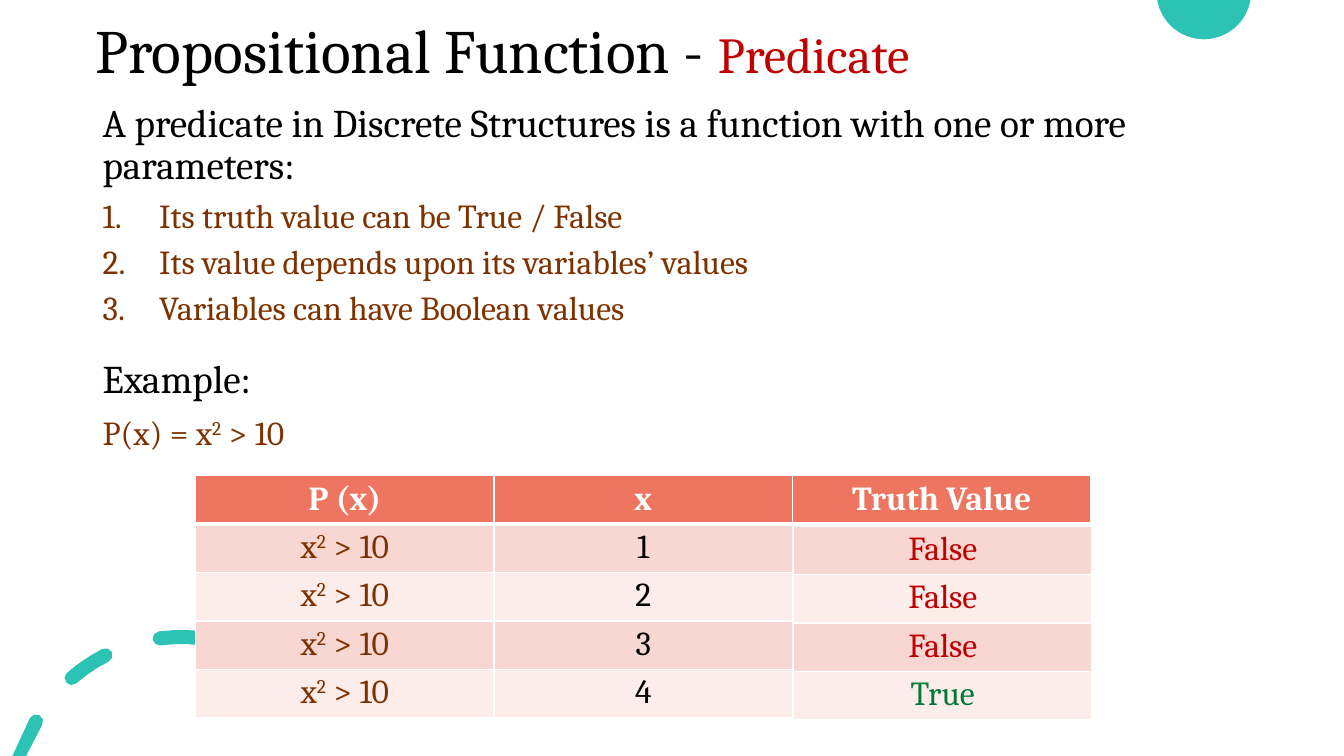
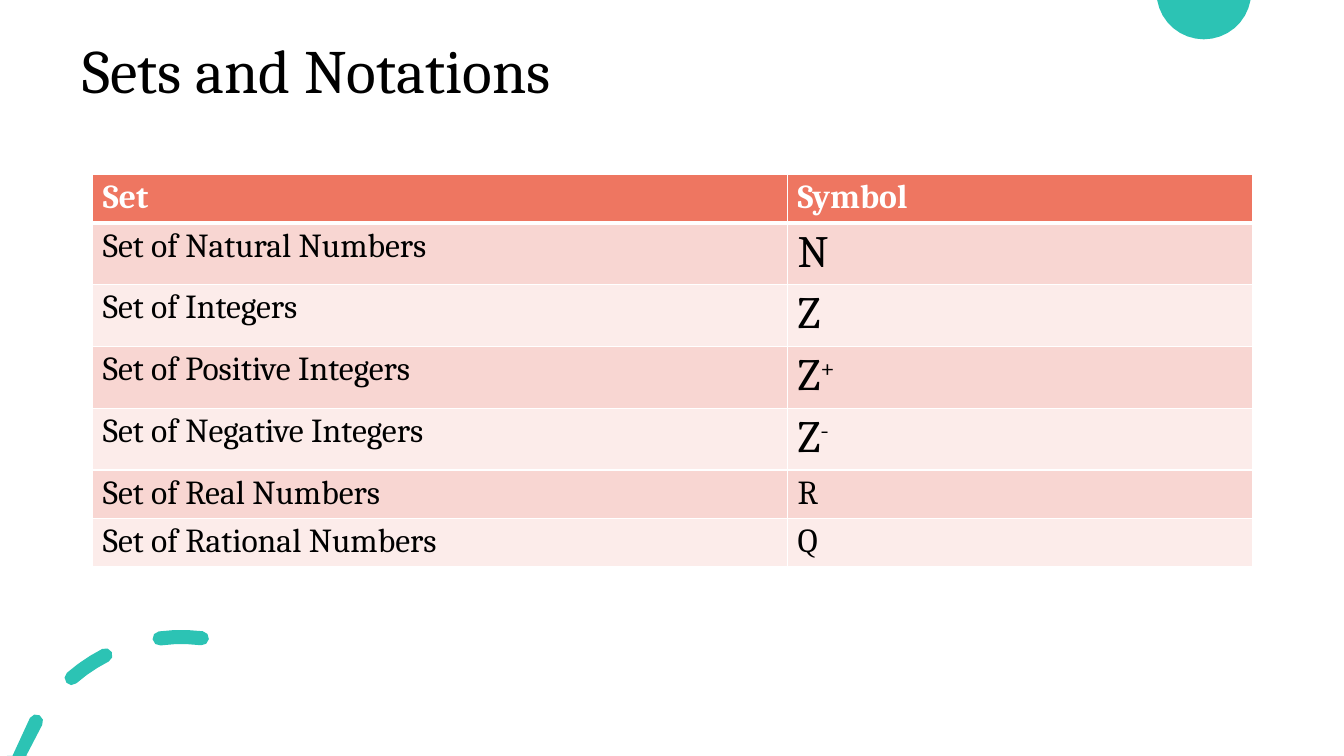
"""Build two discrete structures slides: predicates, and sets with their notations."""
import math

from lxml import etree
from pptx import Presentation
from pptx import util as u
from pptx.dml.color import RGBColor
from pptx.enum import text
from pptx.oxml.ns import qn

FONT = "Cambria"
BLACK, WHITE, TEAL, CORAL = "000000", "FFFFFF", "2CC3B4", "EE7661"
BROWN, RED, GREEN = "7D3200", "C00000", "007A37"
BANDS = ("F8D6D2", "FCECEA")
rgb = RGBColor.from_string


def write(paragraph, words, size, color=BLACK, bold=False):
    """Fill a paragraph; parts between carets are superscript."""
    paragraph.font.name = FONT
    paragraph.font.size = u.Pt(size)
    paragraph.font.color.rgb = rgb(color)
    paragraph.font.bold = bold
    for index, part in enumerate(words.split("^")):
        if part:
            run = paragraph.add_run()
            run.text = part
            if index % 2:
                run._r.get_or_add_rPr().set("baseline", "30000")


def add_grid(slide, left, top, height, widths, rows, align, header=True):
    """Add a banded table; each entry is (words, size, color) or None."""
    frame = slide.shapes.add_table(
        len(rows), len(widths), u.Inches(left), u.Inches(top),
        u.Inches(sum(widths)), u.Inches(height))
    grid = frame.table
    grid.first_row = header
    for column, width in zip(grid.columns, widths):
        column.width = u.Inches(width)
    for r, entries in enumerate(rows):
        grid.rows[r].height = u.Inches(0.41)
        heading = header and r == 0
        for c, entry in enumerate(entries):
            cell = grid.cell(r, c)
            cell.margin_top = cell.margin_bottom = u.Inches(0.04)
            if heading:
                for side, weight in (("L", 1), ("R", 1), ("T", 1), ("B", 3)):
                    border = etree.SubElement(
                        cell._tc.get_or_add_tcPr(), qn(f"a:ln{side}"), w=str(u.Pt(weight)))
                    paint = etree.SubElement(border, qn("a:solidFill"))
                    etree.SubElement(paint, qn("a:srgbClr"), val=WHITE)
            cell.fill.solid()
            cell.fill.fore_color.rgb = rgb(CORAL if heading else BANDS[(r - header) % 2])
            if entry:
                paragraph = cell.text_frame.paragraphs[0]
                paragraph.alignment = align
                write(paragraph, *entry, bold=heading)
    frame.height = u.Inches(height)


disc_x, disc_y, disc_radius = 11.94, -0.08, 0.47
edge = math.degrees(math.asin(-disc_y / disc_radius))
disc = []
for step in range(17):
    angle = math.radians(edge + (180 - 2 * edge) * step / 16)
    disc.append((disc_x + disc_radius * math.cos(angle),
                 max(0, disc_y + disc_radius * math.sin(angle))))

ring_x, ring_y, ring_radius, half_stroke = 1.8, 7.98, 1.66, 0.07
dashes = []
for start, end in ((196.5, 150.3), (131, 117), (97.5, 83)):
    dash = []
    for first, last, side in ((start, end, 1), (end, start, -1)):
        for step in range(4):
            angle = math.radians(first + (last - first) * step / 3)
            radius = ring_radius + side * half_stroke
            dash.append((ring_x + radius * math.cos(angle),
                         min(7.5, ring_y - radius * math.sin(angle))))
        cap_x = ring_x + ring_radius * math.cos(math.radians(last))
        cap_y = ring_y - ring_radius * math.sin(math.radians(last))
        if cap_y < 7.4:
            for turn in (45, 90, 135):
                angle = math.radians(last + (0 if side == 1 else 180) - turn)
                dash.append((cap_x + half_stroke * math.cos(angle),
                             cap_y - half_stroke * math.sin(angle)))
    dashes.append(dash)

deck = Presentation()
deck.slide_width, deck.slide_height = u.Inches(13.33), u.Inches(7.5)

slides = []
for heading, place in (
    ("Propositional Function - ", (0.85, 0.08, 11.5, 0.9)),
    ("Sets and Notations", (0.72, 0, 12.09, 1.45)),
):
    slide = deck.slides.add_slide(deck.slide_layouts[6])
    slides.append(slide)
    for outlines in ([disc], dashes):
        builder = None
        for outline in outlines:
            points = [(u.Inches(x), u.Inches(y)) for x, y in outline]
            if builder is None:
                builder = slide.shapes.build_freeform(*points[0])
            else:
                builder.move_to(*points[0])
            builder.add_line_segments(points[1:], close=True)
        ornament = builder.convert_to_shape()
        ornament.shadow.inherit = False
        ornament.fill.solid()
        ornament.fill.fore_color.rgb = rgb(TEAL)
        ornament.line.fill.background()
    title = slide.shapes.add_textbox(*map(u.Inches, place)).text_frame
    title.word_wrap = True
    title.vertical_anchor = text.MSO_ANCHOR.MIDDLE
    title.paragraphs[0].line_spacing = 0.9
    write(title.paragraphs[0], heading, 44)

predicate_slide, sets_slide = slides

subject = predicate_slide.shapes[-1].text_frame.paragraphs[0].add_run()
subject.text = "Predicate"
subject.font.size = u.Pt(36)
subject.font.color.rgb = rgb(RED)

definition = [
    ("A predicate in Discrete Structures is a function with one or more parameters:",
     28, BLACK, False),
    ("Its truth value can be True / False", 24, BROWN, True),
    ("Its value depends upon its variables’ values", 24, BROWN, True),
    ("Variables can have Boolean values", 24, BROWN, True),
]
example = [("Example:", 28, BLACK, False), ("P(x) = x^2^ > 10", 24, BROWN, False)]
for top, height, lines in ((0.98, 3.09, definition), (3.52, 1.22, example)):
    body = predicate_slide.shapes.add_textbox(
        u.Inches(0.92), u.Inches(top), u.Inches(11.5), u.Inches(height)).text_frame
    body.word_wrap = True
    for index, (words, size, color, numbered) in enumerate(lines):
        paragraph = body.add_paragraph() if index else body.paragraphs[0]
        paragraph.line_spacing = 0.8 if numbered else 0.9
        paragraph.space_before = u.Pt(10 if index else 0)
        if numbered:
            paragraph.alignment = text.PP_ALIGN.JUSTIFY
            properties = paragraph._p.get_or_add_pPr()
            properties.set("marL", str(u.Inches(0.56)))
            properties.set("indent", str(-u.Inches(0.56)))
            etree.SubElement(properties, qn("a:buAutoNum"), type="arabicPeriod")
        write(paragraph, words, size, color)

predicate_rows = [[(name, 24, WHITE) for name in ("P (x)", "x", "Truth Value")]]
truth_rows = []
for x in range(1, 5):
    holds = x ** 2 > 10
    predicate_rows.append([("x^2^ > 10", 24, BROWN), (str(x), 24, BLACK), None])
    truth_rows.append([(str(holds), 24, GREEN if holds else RED)])
add_grid(predicate_slide, 1.94, 4.72, 2.5, [2.96] * 3, predicate_rows,
         text.PP_ALIGN.CENTER)
add_grid(predicate_slide, 7.87, 5.22, 2, [2.96], truth_rows,
         text.PP_ALIGN.CENTER, header=False)

set_rows = [[("Set", 24, WHITE), ("Symbol", 24, WHITE)]]
for kind, symbol, size in (
    ("Natural Numbers", "N", 32),
    ("Integers", "Z", 32),
    ("Positive Integers", "Z^+^", 32),
    ("Negative Integers", "Z^-^", 32),
    ("Real Numbers", "R", 24),
    ("Rational Numbers", "Q", 24),
):
    set_rows.append([(f"Set of {kind}", 24, BLACK), (symbol, size, BLACK)])
add_grid(sets_slide, 0.92, 1.73, 4.03, [6.89, 4.61], set_rows, text.PP_ALIGN.LEFT)

deck.save("out.pptx")
